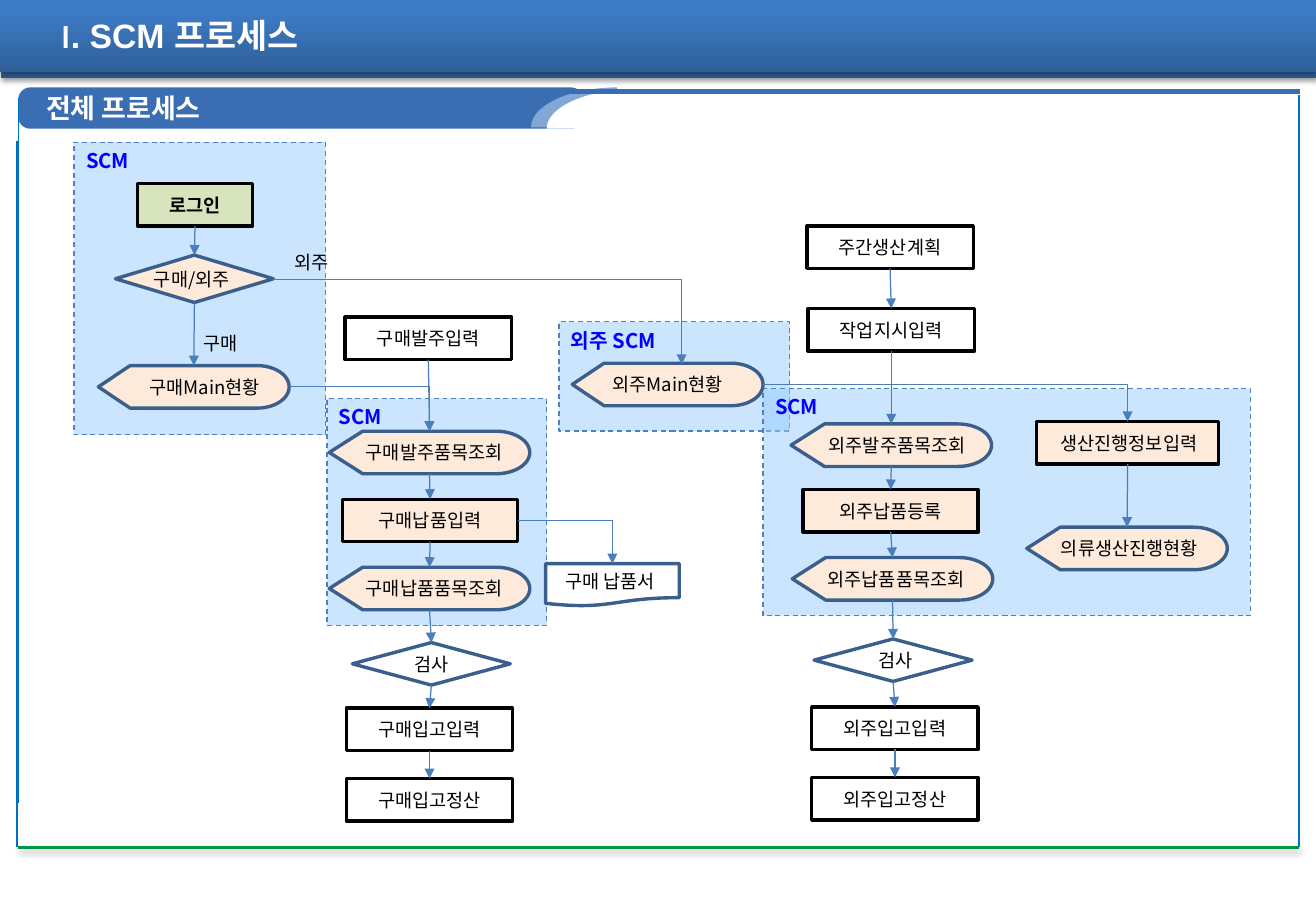
"""Build the SCM process overview slide."""
from copy import deepcopy
from math import cos, pi, sin

from lxml.etree import SubElement
from pptx import Presentation
from pptx.dml.color import RGBColor
from pptx.enum.dml import MSO_LINE
from pptx.enum.shapes import MSO_CONNECTOR as CONN, MSO_SHAPE as SHAPE
from pptx.enum.text import MSO_ANCHOR as ANCHOR, PP_ALIGN as ALIGN
from pptx.oxml.ns import qn
from pptx.util import Inches, Pt

FONT = "Noto Sans CJK KR"
WHITE = RGBColor(0xFF, 0xFF, 0xFF)
BLACK = RGBColor(0, 0, 0)
BAR_DARK = RGBColor(0x2F, 0x5F, 0x99)
BAR_MID = RGBColor(0x3D, 0x7C, 0xC7)
BAR_LIGHT = RGBColor(0x3A, 0x7C, 0xCB)
RIBBON = RGBColor(0x3A, 0x6D, 0xB2)
RIBBON_LIGHT = RGBColor(0x82, 0xA6, 0xD6)
ZONE = RGBColor(0x99, 0xCC, 0xFF)
ZONE_LINE = RGBColor(0x4F, 0x81, 0xBD)
ZONE_TEXT = RGBColor(0, 0, 0xFF)
PEACH = RGBColor(0xFD, 0xEA, 0xDA)
GREEN = RGBColor(0xD7, 0xE4, 0xBD)
NODE_LINE = RGBColor(0x3A, 0x5F, 0x8C)
ARROW = RGBColor(0x4B, 0x7E, 0xBC)
FRAME = RGBColor(0, 0x70, 0xC0)
FOOT = RGBColor(0, 0x96, 0x3E)

prs = Presentation()
prs.slide_width, prs.slide_height = Inches(10.83), Inches(7.5)
shapes = prs.slides.add_slide(prs.slide_layouts[6]).shapes


def write(s, text, size, color, bold=False, align=ALIGN.LEFT, anchor=ANCHOR.TOP):
    tf = s.text_frame
    tf.text = text
    tf.word_wrap = False
    tf.vertical_anchor = anchor
    p = tf.paragraphs[0]
    p.alignment = align
    f = p.runs[0].font
    f.name, f.size, f.bold, f.color.rgb = FONT, Pt(size), bold, color
    SubElement(f._element, qn("a:ea")).set("typeface", FONT)
    return tf


def connect(kind, ends, color=ARROW, width=0.75, arrow=True):
    c = shapes.add_connector(kind, *[Inches(v) for v in ends])
    c.line.color.rgb = color
    c.line.width = Pt(width)
    if kind == CONN.ELBOW:
        c._element.spPr.find(qn("a:prstGeom")).set("prst", "bentConnector2")
    if arrow:
        SubElement(c.line._get_or_add_ln(), qn("a:tailEnd")).set("type", "triangle")
    SubElement(c._element.spPr, qn("a:effectLst"))
    return c


shadowed = []
for left, top in [(0.01, 0.01), (0, -0.04)]:
    s = shapes.add_shape(SHAPE.RECTANGLE, Inches(left), Inches(top), Inches(10.83), Inches(0.63))
    s.line.fill.background()
    s.fill.gradient()
    s.fill.gradient_angle = 90
    first, last = s.fill.gradient_stops
    first.position, first.color.rgb = 0, BAR_DARK
    last.position, last.color.rgb = 0.8, BAR_MID
    stops = s._element.spPr.find(".//" + qn("a:gsLst"))
    stops.append(deepcopy(stops[-1]))
    end = s.fill.gradient_stops[2]
    end.position, end.color.rgb = 1, BAR_LIGHT
    s.shadow.inherit = False
    shadowed.append(s)

zones = [
    ("외주 SCM", 4.6, 2.65, 1.9, 0.9),
    ("SCM", 6.28, 3.2, 4.01, 1.87),
    ("SCM", 2.69, 3.28, 1.81, 1.87),
    ("SCM", 0.61, 1.17, 2.07, 2.41),
]
for text, *box in zones:
    s = shapes.add_shape(SHAPE.RECTANGLE, *[Inches(v) for v in box])
    s.shadow.inherit = False
    s.fill.solid()
    s.fill.fore_color.rgb = ZONE
    SubElement(s._element.spPr.find(".//" + qn("a:srgbClr")), qn("a:alpha")).set("val", "50000")
    s.line.color.rgb = ZONE_LINE
    s.line.width = Pt(0.75)
    s.line.dash_style = MSO_LINE.DASH
    write(s, text, 12, ZONE_TEXT, bold=True)

s = shapes.add_shape(SHAPE.ROUNDED_RECTANGLE, Inches(0.15), Inches(0.72), Inches(4.65), Inches(0.34))
s.adjustments[0] = 0.29
s.shadow.inherit = False
s.fill.solid()
s.fill.fore_color.rgb = RIBBON
s.line.fill.background()
tf = write(s, "전체 프로세스", 16, WHITE, bold=True, anchor=ANCHOR.MIDDLE)
tf.margin_left = Inches(0.2)

swooshes = [(4.37, 5.08, 5.08, 0.72, RIBBON_LIGHT), (4.5, 5.26, 5.36, 0.73, WHITE)]
for left, peak, right, top, color in swooshes:
    bottom = top + 0.33
    curve = [
        (peak - (peak - left) * sin(i * pi / 40), bottom - 0.33 * cos(i * pi / 40))
        for i in range(21)
    ]
    points = [(Inches(x), Inches(y)) for x, y in curve + [(right, bottom)]]
    builder = shapes.build_freeform(*points[0])
    builder.add_line_segments(points[1:], close=True)
    s = builder.convert_to_shape()
    s.shadow.inherit = False
    s.fill.solid()
    s.fill.fore_color.rgb = color
    s.line.fill.background()
connect(CONN.STRAIGHT, (4.23, 0.75, 10.7, 0.75), RIBBON, 3, arrow=False)

RECT, SCREEN = SHAPE.RECTANGLE, SHAPE.FLOWCHART_DISPLAY
CHECK, PAPER = SHAPE.DIAMOND, SHAPE.FLOWCHART_DOCUMENT
login_flow = [
    ("로그인", RECT, 1.13, 1.51, 0.95, GREEN, 0),
    ("구매/외주", CHECK, 0.95, 2.1, 1.3, PEACH, -0.02),
    ("구매Main현황", SCREEN, 0.81, 3.01, 1.57, PEACH, 0.09),
]
purchase_flow = [
    ("구매발주입력", RECT, 2.84, 2.61, 1.37, None, 0),
    ("구매발주품목조회", SCREEN, 2.71, 3.55, 1.65, PEACH, 0.04),
    ("구매납품입력", RECT, 2.82, 4.11, 1.44, PEACH, 0),
    ("구매납품품목조회", SCREEN, 2.71, 4.67, 1.65, PEACH, 0.04),
    ("검사", CHECK, 2.9, 5.29, 1.3, None, 0),
    ("구매입고입력", RECT, 2.85, 5.83, 1.37, None, 0),
    ("구매입고정산", RECT, 2.85, 6.41, 1.37, None, 0),
]
outsource_flow = [
    ("주간생산계획", RECT, 6.64, 1.86, 1.37, None, 0),
    ("작업지시입력", RECT, 6.65, 2.54, 1.37, None, 0),
    ("외주발주품목조회", SCREEN, 6.51, 3.49, 1.65, PEACH, 0.05),
    ("외주납품등록", RECT, 6.61, 4.03, 1.44, PEACH, 0),
    ("외주납품품목조회", SCREEN, 6.52, 4.59, 1.65, PEACH, 0.03),
    ("검사", CHECK, 6.7, 5.26, 1.3, None, 0.02),
    ("외주입고입력", RECT, 6.68, 5.82, 1.37, None, 0),
    ("외주입고정산", RECT, 6.68, 6.4, 1.37, None, 0),
]
production_flow = [
    ("생산진행정보입력", RECT, 8.53, 3.47, 1.5, PEACH, 0.01),
    ("의류생산진행현황", SCREEN, 8.45, 4.34, 1.65, PEACH, 0.02),
]
outsource_main = [("외주Main현황", SCREEN, 4.71, 2.99, 1.57, PEACH, 0)]
delivery_note = [("구매 납품서", PAPER, 4.49, 4.64, 1.1, None, -0.02)]

nodes = {}
links = []
for flow in [login_flow, purchase_flow, outsource_flow, production_flow, outsource_main, delivery_note]:
    chain = []
    for text, kind, left, top, width, fill, shift in flow:
        height = 0.39 if text == "구매/외주" else 0.35
        s = shapes.add_shape(kind, Inches(left), Inches(top), Inches(width), Inches(height))
        s.shadow.inherit = False
        s.fill.background()
        if fill:
            s.fill.solid()
            s.fill.fore_color.rgb = fill
        s.line.color.rgb = BLACK if kind == RECT else NODE_LINE
        s.line.width = Pt(2)
        tf = write(s, text, 11, BLACK, text == "로그인", ALIGN.CENTER, ANCHOR.MIDDLE)
        tf.margin_top = tf.margin_bottom = 0
        tf.margin_left = Inches(max(2 * shift, 0))
        tf.margin_right = Inches(max(-2 * shift, 0))
        nodes[text] = s
        chain.append(s)
    links += [(CONN.STRAIGHT, a, 2, b) for a, b in zip(chain, chain[1:])]

branches = [
    ("구매Main현황", "구매발주품목조회"),
    ("구매납품입력", "구매 납품서"),
    ("외주Main현황", "생산진행정보입력"),
]
links += [(CONN.ELBOW, nodes[a], 3, nodes[b]) for a, b in branches]
for kind, a, side, b in links:
    c = connect(kind, (0, 0, 1, 1))
    c.begin_connect(a, side)
    c.end_connect(b, 0)
connect(CONN.ELBOW, (2.25, 2.3, 5.61, 3))

for text, left, top in [("외주", 2.27, 2.02), ("구매", 1.52, 2.68)]:
    s = shapes.add_textbox(Inches(left), Inches(top), Inches(0.59), Inches(0.29))
    write(s, text, 11, BLACK, align=ALIGN.CENTER)

for x, top, bottom in [(0.14, 1.16, 6.97), (10.69, 1.16, 6.97), (0.15, 0.81, 6.61), (10.69, 0.78, 6.59)]:
    connect(CONN.STRAIGHT, (x, top, x, bottom), FRAME, arrow=False)
shadowed.append(connect(CONN.STRAIGHT, (0.15, 6.98, 10.69, 6.98), FOOT, 1.75, arrow=False))
for s in shadowed:
    effects = s._element.spPr.find(qn("a:effectLst"))
    shadow = SubElement(effects, qn("a:outerShdw"), blurRad="40000", dist="23000", dir="5400000", rotWithShape="0")
    SubElement(SubElement(shadow, qn("a:srgbClr"), val="000000"), qn("a:alpha"), val="35000")

s = shapes.add_textbox(Inches(0.4), Inches(0.07), Inches(3.14), Inches(0.44))
s.text_frame.word_wrap = True
p = s.text_frame.paragraphs[0]
for text, name in [("I", "Karla"), (". SCM 프로세스", "Arial")]:
    r = p.add_run()
    r.text = text
    r.font.name, r.font.size, r.font.bold = name, Pt(20), True
    r.font.color.rgb = WHITE
    SubElement(r.font._element, qn("a:ea")).set("typeface", FONT)

prs.save("out.pptx")
